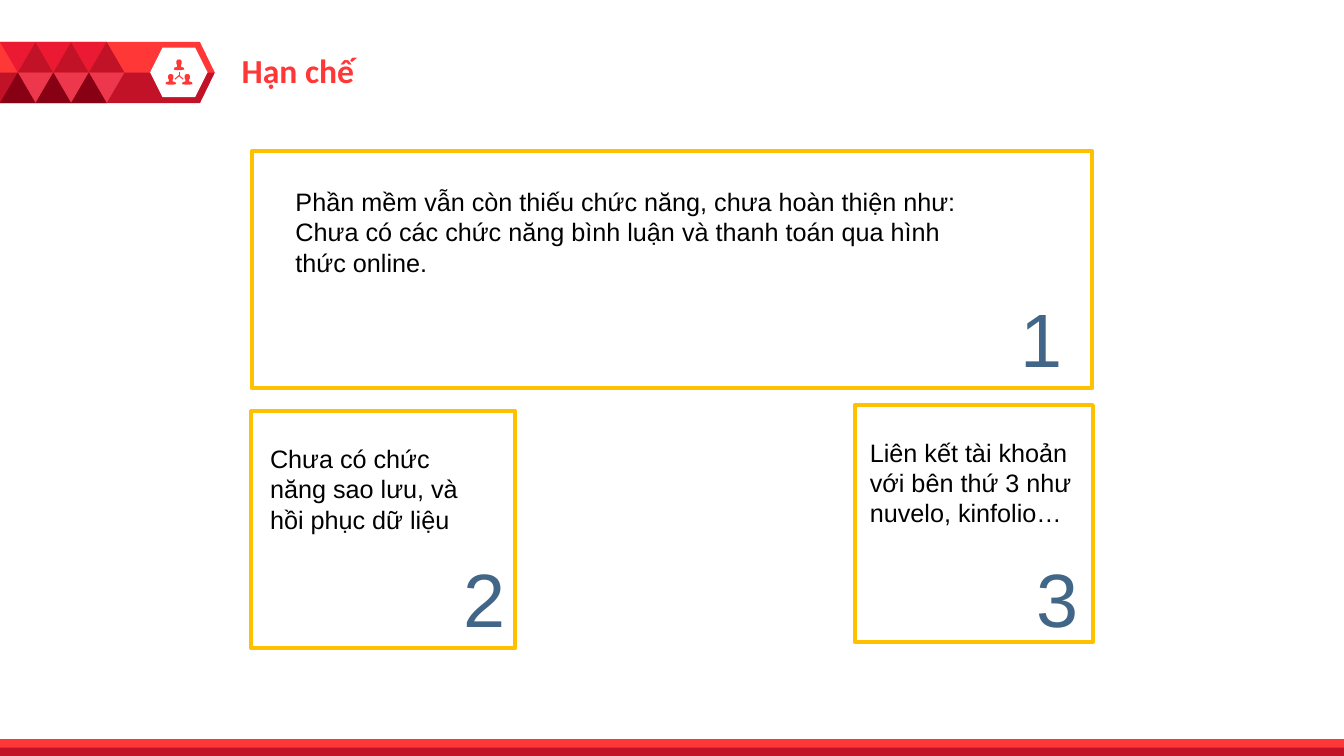
from pptx import Presentation
from pptx.dml.color import RGBColor
from pptx.enum.shapes import MSO_CONNECTOR, MSO_SHAPE
from pptx.enum.text import MSO_AUTO_SIZE, PP_ALIGN
from pptx.oxml import parse_xml
from pptx.oxml.ns import nsdecls
from pptx.util import Pt

COLORS = {
    "red": "FF3737", "crimson": "C21227", "scarlet": "EB1932",
    "rose": "ED374D", "maroon": "880014", "gold": "FFC000",
    "slate": "426687", "black": "000000", "white": "FFFFFF",
}
TITLE = {"name": "Calibri", "size": Pt(24), "bold": True}
BODY = {"name": "Arial", "size": Pt(18)}
NUMBER = {"name": "Arial", "size": Pt(54)}

# Right half of a person's outline, as shares of its box around the centre line
PERSON = [(0, 0), (0.15, 0.03), (0.24, 0.15), (0.24, 0.4), (0.16, 0.55),
          (0.18, 0.7), (0.42, 0.76), (0.5, 0.95), (0.2, 1)]


def color(name):
    return RGBColor.from_string(COLORS[name])


def paint(shape, fill=None, line=None):
    shape.shadow.inherit = False
    if fill:
        shape.fill.solid()
        shape.fill.fore_color.rgb = color(fill)
    else:
        shape.fill.background()
    if line:
        shape.line.color.rgb = color(line)
        shape.line.width = Pt(3)
    else:
        shape.line.fill.background()


def add_block(slide, kind, box, fill=None, line=None):
    shape = slide.shapes.add_shape(kind, *[Pt(length) for length in box])
    paint(shape, fill, line)
    return shape


def add_outline(slide, points, fill):
    # Hundredths of a point keep small outlines exact
    points = [(round(x * 100), round(y * 100)) for x, y in points]
    builder = slide.shapes.build_freeform(*points[0], scale=Pt(1) / 100)
    builder.add_line_segments(points[1:], close=True)
    paint(builder.convert_to_shape(), fill)


def add_text(slide, box, text, font, font_color, align=PP_ALIGN.LEFT):
    text_box = slide.shapes.add_textbox(*[Pt(length) for length in box])
    frame = text_box.text_frame
    frame.word_wrap = True
    frame.auto_size = MSO_AUTO_SIZE.SHAPE_TO_FIT_TEXT
    paragraph = frame.paragraphs[0]
    paragraph.text = text
    paragraph.alignment = align
    for attribute, value in font.items():
        setattr(paragraph.font, attribute, value)
    paragraph.font.color.rgb = color(font_color)


def add_people_icon(slide, left, top, width, height):
    person = 7.6
    center = left + width / 2
    hub = top + 11.5
    # Three people: one above, two below
    for middle, head in [(center, top),
                         (left + person / 2, top + height - person),
                         (left + width - person / 2, top + height - person)]:
        right = [(middle + x * person, head + y * person) for x, y in PERSON]
        mirrored = [(2 * middle - x, y) for x, y in reversed(right[1:])]
        add_outline(slide, right + mirrored, "red")
    # Links between them
    for shift_x, shift_y in [(0, -2.9), (-3, 2.6), (3, 2.6)]:
        link = slide.shapes.add_connector(
            MSO_CONNECTOR.STRAIGHT, Pt(center), Pt(hub),
            Pt(center + shift_x), Pt(hub + shift_y))
        link.line.color.rgb = color("red")
        link.line.width = Pt(0.75)
        link._element.spPr.append(parse_xml(f"<a:effectLst {nsdecls('a')}/>"))


def add_badge(slide, left, top, width, height):
    middle = top + height / 2
    tip = 10.6
    # Arrow-shaped band with a darker lower half
    band = add_block(slide, MSO_SHAPE.PENTAGON, (left, top, width, height), "red")
    band.adjustments[0] = tip / height
    add_outline(slide, [(left, middle), (left + width, middle),
                        (left + width - tip, top + height),
                        (left, top + height)], "crimson")
    # Hexagon with icon
    hexagon = add_block(slide, MSO_SHAPE.HEXAGON,
                        (left + 107.3, top + 4, 41, 35.4), "white")
    hexagon.adjustments[0] = 0.25
    add_people_icon(slide, left + 118.2, top + 12.5, 19.4, 18)
    # Triangle pattern: shift in half steps, row, turn, colour
    step, row_height = 25.4, height / 2
    pattern = [(0, 0, 180, "scarlet"), (1, 0, 0, "crimson"),
               (1, 1, 180, "rose"), (0, 1, 0, "maroon")]
    for column in range(3):
        for shift, row, turn, fill in pattern:
            triangle = add_block(
                slide, MSO_SHAPE.ISOSCELES_TRIANGLE,
                (left + (column + shift / 2) * step, top + row * row_height,
                 step, row_height), fill)
            triangle.rotation = turn


def add_footer(slide, left, top, width, height):
    add_block(slide, MSO_SHAPE.RECTANGLE, (left, top, width, height), "red")
    add_block(slide, MSO_SHAPE.RECTANGLE,
              (left, top + height / 2, width, height / 2), "crimson")


def add_card(slide, box, text, text_area, number, number_offset):
    left, top, width, height = box
    add_block(slide, MSO_SHAPE.RECTANGLE, box, line="gold")
    shift_x, shift_y, text_width, text_height = text_area
    add_text(slide, (left + shift_x, top + shift_y, text_width, text_height),
             text, BODY, "black")
    # Number in the lower right corner
    right, down = number_offset
    add_text(slide, (left + width - right - 118, top + down, 118, 72.7),
             number, NUMBER, "slate", PP_ALIGN.RIGHT)


def build_limits_slide(presentation):
    slide = presentation.slides.add_slide(presentation.slide_layouts[6])
    add_badge(slide, 0, 30, 153.4, 43.6)
    add_footer(slide, 0, 528, 960, 12)
    add_text(slide, (165.6, 32.4, 304, 36), "Hạn chế", TITLE, "red")
    add_card(slide, (180, 108, 600, 169.2),
             "Phần mềm vẫn còn thiếu chức năng, chưa hoàn thiện như: "
             "Chưa có các chức năng bình luận và thanh toán qua hình thức online.",
             (24, 21.6, 498, 72.7), "1", (14, 97.2))
    add_card(slide, (179.3, 293.8, 188.6, 169.2),
             "Chưa có chức năng sao lưu, và hồi phục dữ liệu",
             (6.5, 19.4, 158.4, 94.3), "2", (0, 97.2))
    add_card(slide, (610.6, 289.4, 170, 169.2),
             "Liên kết tài khoản với bên thứ 3 như nuvelo, kinfolio…",
             (3.6, 19.4, 170, 116.6), "3", (3, 101.6))


def main():
    presentation = Presentation()
    presentation.slide_width = Pt(960)
    presentation.slide_height = Pt(540)
    build_limits_slide(presentation)
    presentation.save("out.pptx")


if __name__ == "__main__":
    main()
